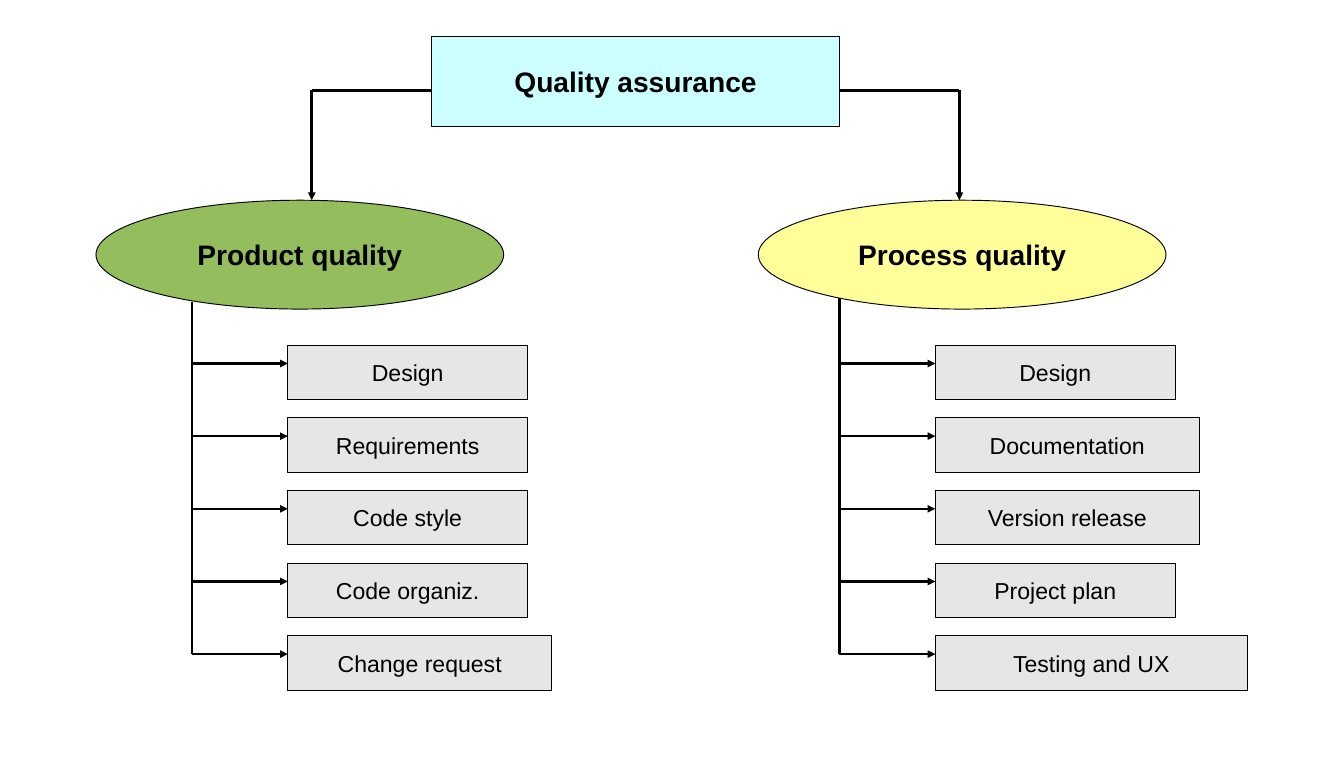
from lxml.etree import SubElement
from pptx import Presentation
from pptx.dml.color import RGBColor
from pptx.enum.shapes import MSO_CONNECTOR as CONN, MSO_SHAPE as SHAPE
from pptx.enum.text import MSO_ANCHOR as ANCHOR, PP_ALIGN as ALIGN
from pptx.oxml.ns import qn
from pptx.util import Inches, Pt

COLORS = {"black": "000000", "root": "CCFFFF", "product": "94BD5E",
          "process": "FFFF99", "item": "E6E6E6"}
ROOT_LEFT, ROOT_WIDTH, ROOT_EXIT = 4.68, 4.42, 0.98
OVAL_TOP = 2.17
ITEM_TOP, ITEM_HEIGHT = 3.74, 0.59
ITEM_STEP = (6.89 - ITEM_TOP) / 4
ITEM_INDENT, ARROW_DROP = 1.04, 0.2

BRANCHES = [
    {"title": "Product quality", "color": "product", "oval_left": 1.04,
     "root_x": ROOT_LEFT, "arrow_x": 3.38, "trunk_x": 2.08, "trunk_top": 3.27,
     "items": [("Design", 2.6), ("Requirements", 2.6), ("Code style", 2.6),
               ("Code organiz.", 2.6), ("Change request", 2.86)]},
    {"title": "Process quality", "color": "process", "oval_left": 8.22,
     "root_x": ROOT_LEFT + ROOT_WIDTH, "arrow_x": 10.4, "trunk_x": 9.1, "trunk_top": 3.23,
     "items": [("Design", 2.6), ("Documentation", 2.86), ("Version release", 2.86),
               ("Project plan", 2.6), ("Testing and UX", 3.38)]},
]


def rgb(name):
    """Return the named colour."""
    return RGBColor.from_string(COLORS[name])


def add_node(s, kind, text, box, color, size=22, bold=True):
    """Add an outlined shape with centred text."""
    sp = s.shapes.add_shape(kind, *[Inches(v) for v in box])
    sp.shadow.inherit = False
    sp.fill.solid()
    sp.fill.fore_color.rgb = rgb(color)
    sp.line.color.rgb = rgb("black")
    sp.line.width = Pt(0)
    tf = sp.text_frame
    tf.word_wrap = True
    tf.vertical_anchor = ANCHOR.MIDDLE
    tf.text = text
    p = tf.paragraphs[0]
    p.alignment = ALIGN.CENTER
    font = p.runs[0].font
    font.name, font.size, font.bold = "Arial", Pt(size), bold
    font.color.rgb = rgb("black")


def add_line(s, x1, y1, x2, y2, arrow=False):
    """Add a hairline, with an arrowhead at its end if asked."""
    cn = s.shapes.add_connector(CONN.STRAIGHT, *[Inches(v) for v in (x1, y1, x2, y2)])
    cn.line.color.rgb = rgb("black")
    cn.line.width = Pt(0)
    if arrow:
        SubElement(cn.line._get_or_add_ln(), qn("a:tailEnd"), type="triangle")
    SubElement(cn._element.spPr, qn("a:effectLst"))


def add_branch(s, branch):
    """Add one quality oval with its link to the root and its items."""
    add_node(s, SHAPE.OVAL, branch["title"],
             (branch["oval_left"], OVAL_TOP, ROOT_WIDTH, 1.18), branch["color"])
    arrow_x, trunk_x = branch["arrow_x"], branch["trunk_x"]
    add_line(s, arrow_x, ROOT_EXIT, arrow_x, OVAL_TOP, arrow=True)
    add_line(s, branch["root_x"], ROOT_EXIT, arrow_x, ROOT_EXIT)
    add_line(s, trunk_x, branch["trunk_top"], trunk_x, 7.09)
    left = trunk_x + ITEM_INDENT
    for i, (text, width) in enumerate(branch["items"]):
        top = ITEM_TOP + i * ITEM_STEP
        add_node(s, SHAPE.RECTANGLE, text, (left, top, width, ITEM_HEIGHT),
                 "item", size=18, bold=False)
        add_line(s, trunk_x, top + ARROW_DROP, left, top + ARROW_DROP, arrow=True)


def main():
    """Build the quality assurance tree and save it."""
    prs = Presentation()
    prs.slide_width, prs.slide_height = Inches(14.57), Inches(8.27)
    s = prs.slides.add_slide(prs.slide_layouts[6])
    add_node(s, SHAPE.RECTANGLE, "Quality assurance",
             (ROOT_LEFT, 0.39, ROOT_WIDTH, 0.98), "root")
    for branch in BRANCHES:
        add_branch(s, branch)
    prs.save("out.pptx")


if __name__ == "__main__":
    main()
